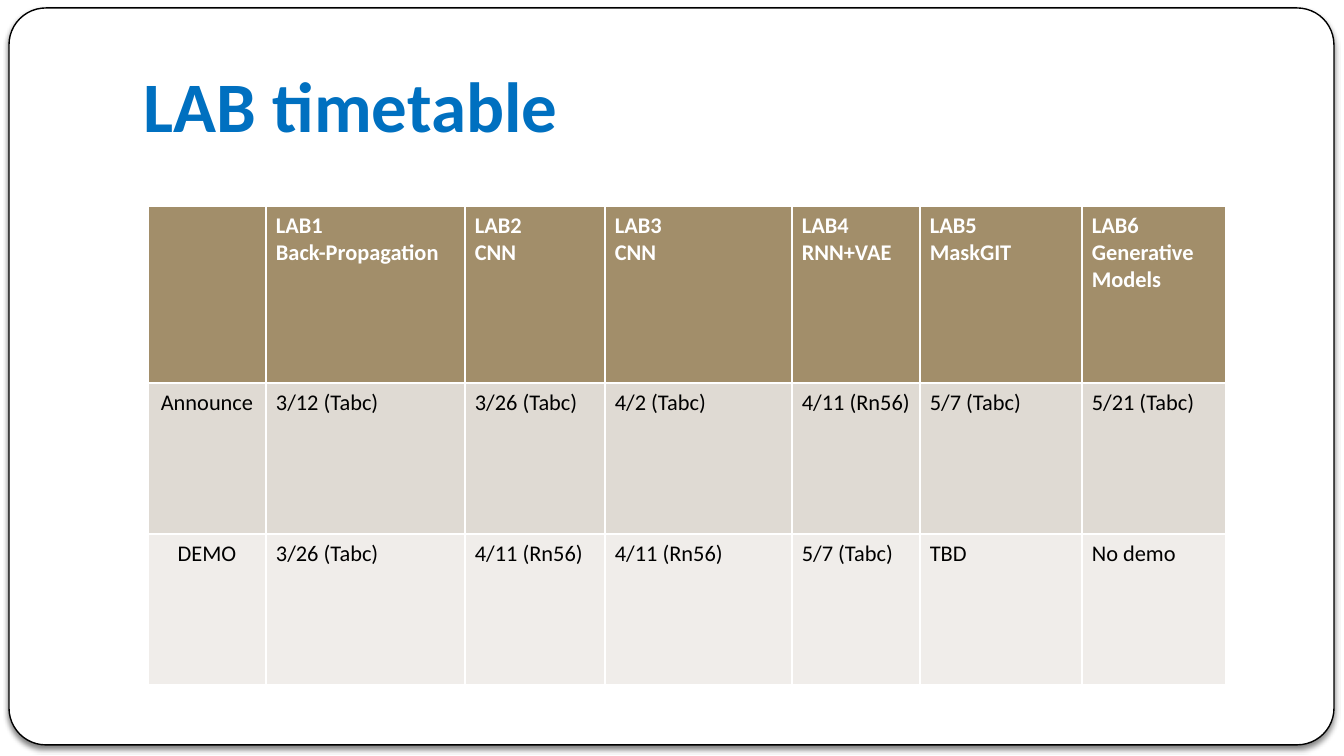
"""Build the LAB timetable slide."""
from lxml import etree
from pptx import Presentation
from pptx.dml.color import RGBColor
from pptx.enum.shapes import MSO_SHAPE
from pptx.enum.text import MSO_ANCHOR, PP_ALIGN
from pptx.oxml import parse_xml
from pptx.oxml.ns import nsdecls, qn
from pptx.util import Emu, Pt

ROUND_RECT = MSO_SHAPE.ROUNDED_RECTANGLE
BOTTOM, TOP = MSO_ANCHOR.BOTTOM, MSO_ANCHOR.TOP
LEFT, CENTER = PP_ALIGN.LEFT, PP_ALIGN.CENTER

TITLE = "LAB timetable"
ROWS = [
    ["", "LAB1\nBack-Propagation", "LAB2\nCNN", "LAB3\nCNN",
     "LAB4\nRNN+VAE", "LAB5\nMaskGIT", "LAB6\nGenerative\nModels"],
    ["Announce", "3/12 (Tabc)", "3/26 (Tabc)", "4/2 (Tabc)",
     "4/11 (Rn56)", "5/7 (Tabc)", "5/21 (Tabc)"],
    ["DEMO", "3/26 (Tabc)", "4/11 (Rn56)", "4/11 (Rn56)",
     "5/7 (Tabc)", "TBD", "No demo"],
]
COL_WIDTHS = [118, 199, 140, 187, 128, 162, 144]
ROW_HEIGHTS = [177, 151, 151]

FONT = "Calibri"
COLORS = {"white": "FFFFFF", "black": "000000", "title": "0070C0",
          "header": "A28E6A", "announce": "DFDAD3", "demo": "F0EDEA"}
ROW_FILLS = ["header", "announce", "demo"]
SCALE = 914400 / 134.4


def px(n):
    return Emu(round(n * SCALE))


def rgb(name):
    return RGBColor.from_string(COLORS[name])


def add_run(p, text, size, color, bold):
    r = p.add_run()
    r.text = text
    r.font.name = FONT
    r.font.size = Pt(size)
    r.font.bold = bold
    r.font.color.rgb = rgb(color)


def set_margins(obj, left, top, right, bottom):
    obj.margin_left, obj.margin_top = px(left), px(top)
    obj.margin_right, obj.margin_bottom = px(right), px(bottom)


def add_frame(s):
    sp = s.shapes.add_shape(ROUND_RECT, px(9), px(8), px(1325), px(737))
    sp.adjustments[0] = 0.05
    sp.fill.solid()
    sp.fill.fore_color.rgb = rgb("white")
    sp.line.color.rgb = rgb("black")
    sp.line.width = Pt(0.75)
    sp.shadow.inherit = False
    effects = sp._element.spPr.find(qn("a:effectLst"))
    effects.append(parse_xml(
        f'<a:outerShdw {nsdecls("a")} blurRad="{Pt(3)}" dist="{Pt(2)}" '
        f'dir="5400000" rotWithShape="0"><a:srgbClr val="{COLORS["black"]}">'
        '<a:alpha val="49000"/></a:srgbClr></a:outerShdw>'))


def add_title(s):
    tf = s.shapes.add_textbox(px(134), px(31), px(1142), px(126)).text_frame
    tf.word_wrap = True
    tf.vertical_anchor = BOTTOM
    set_margins(tf, 10, 5, 10, 10)
    add_run(tf.paragraphs[0], TITLE, 38, "title", True)


def add_borders(cell):
    tcPr = cell._tc.get_or_add_tcPr()
    for side in ("lnL", "lnR", "lnT", "lnB"):
        ln = etree.SubElement(tcPr, qn(f"a:{side}"), w=str(Pt(0.96)))
        fill = etree.SubElement(ln, qn("a:solidFill"))
        etree.SubElement(fill, qn("a:srgbClr"), val=COLORS["white"])


def fill_cell(cell, text, row, col):
    header = row == 0
    add_borders(cell)
    cell.fill.solid()
    cell.fill.fore_color.rgb = rgb(ROW_FILLS[row])
    cell.vertical_anchor = TOP
    set_margins(cell, 10, 6, 10, 6)
    tf = cell.text_frame
    for i, line in enumerate(text.splitlines()):
        p = tf.add_paragraph() if i else tf.paragraphs[0]
        p.alignment = LEFT if col else CENTER
        add_run(p, line, 12, "white" if header else "black", header)


def add_timetable(s):
    table = s.shapes.add_table(
        len(ROWS), len(COL_WIDTHS), px(148), px(206),
        px(sum(COL_WIDTHS)), px(sum(ROW_HEIGHTS))).table
    for column, width in zip(table.columns, COL_WIDTHS):
        column.width = px(width)
    for row, height in zip(table.rows, ROW_HEIGHTS):
        row.height = px(height)
    for i, texts in enumerate(ROWS):
        for j, text in enumerate(texts):
            fill_cell(table.cell(i, j), text, i, j)


def main():
    prs = Presentation()
    prs.slide_width, prs.slide_height = px(1344), px(756)
    s = prs.slides.add_slide(prs.slide_layouts[6])
    add_frame(s)
    add_title(s)
    add_timetable(s)
    prs.save("out.pptx")


if __name__ == "__main__":
    main()
